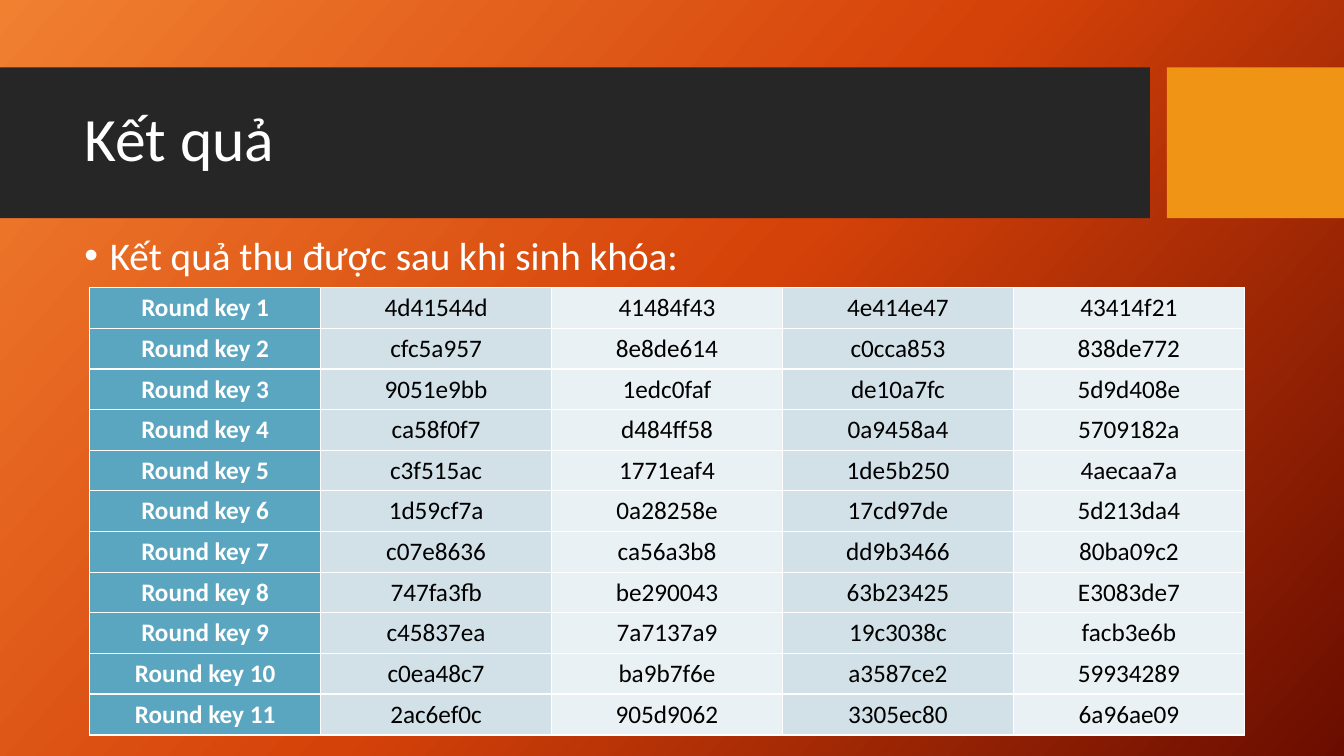
from lxml.etree import SubElement
from pptx import Presentation
from pptx.dml.color import RGBColor
from pptx.enum.shapes import MSO_SHAPE
from pptx.enum.text import MSO_ANCHOR, PP_ALIGN
from pptx.oxml import parse_xml
from pptx.oxml.ns import nsdecls, qn
from pptx.util import Cm, Pt

WHITE = RGBColor(0xFF, 0xFF, 0xFF)
BLACK = RGBColor(0x00, 0x00, 0x00)
CHARCOAL = RGBColor(0x26, 0x26, 0x26)
AMBER = RGBColor(0xF0, 0x94, 0x15)
TEAL = RGBColor(0x5A, 0xA6, 0xC0)
BLUE_GREY = RGBColor(0xD2, 0xE1, 0xE8)
PALE_GREY = RGBColor(0xEA, 0xF1, 0xF4)
BACKGROUND_STOPS = [
    (0, RGBColor(0xF1, 0x80, 0x31)),
    (50, RGBColor(0xD5, 0x42, 0x09)),
    (100, RGBColor(0x6A, 0x0D, 0x00)),
]
COLUMN_FILLS = [TEAL, BLUE_GREY, PALE_GREY, BLUE_GREY, PALE_GREY]
FONT = "Calibri"

ROUND_KEYS = [
    "4d41544d 41484f43 4e414e47 43414f21",
    "cfc5a957 8e8de614 c0cca853 838de772",
    "9051e9bb 1edc0faf de10a7fc 5d9d408e",
    "ca58f0f7 d484ff58 0a9458a4 5709182a",
    "c3f515ac 1771eaf4 1de5b250 4aecaa7a",
    "1d59cf7a 0a28258e 17cd97de 5d213da4",
    "c07e8636 ca56a3b8 dd9b3466 80ba09c2",
    "747fa3fb be290043 63b23425 E3083de7",
    "c45837ea 7a7137a9 19c3038c facb3e6b",
    "c0ea48c7 ba9b7f6e a3587ce2 59934289",
    "2ac6ef0c 905d9062 3305ec80 6a96ae09",
]
TABLE_LEFT, TABLE_TOP = 2.26, 7.25
COLUMN_WIDTH, ROW_HEIGHT, ROW_PITCH = 5.82, 1.03, 1.024


def add_text(slide, text, top, height, size, line_spacing):
    box = slide.shapes.add_textbox(Cm(1.88), Cm(top), Cm(26.7), Cm(height))
    box.text_frame.word_wrap = True
    paragraph = box.text_frame.paragraphs[0]
    paragraph.text = text
    paragraph.line_spacing = line_spacing
    paragraph.font.name = FONT
    paragraph.font.size = Pt(size)
    paragraph.font.color.rgb = WHITE
    return box.text_frame


def set_white_borders(cell):
    properties = cell._tc.get_or_add_tcPr()
    for index, side in enumerate(("a:lnL", "a:lnR", "a:lnT", "a:lnB")):
        border = parse_xml(
            f'<{side} {nsdecls("a")} w="12700"><a:solidFill>'
            f'<a:srgbClr val="{WHITE}"/></a:solidFill></{side}>'
        )
        properties.insert(index, border)


prs = Presentation()
prs.slide_width, prs.slide_height = Cm(33.87), Cm(19.05)
slide = prs.slides.add_slide(prs.slide_layouts[6])

# Diagonal background gradient
slide.background.fill.gradient()
gradient = slide.element.xpath(".//p:bgPr/a:gradFill")[0]
gradient.find(qn("a:lin")).set("ang", str(42 * 60000))
stops = gradient.find(qn("a:gsLst"))
stops.clear()
for percent, color in BACKGROUND_STOPS:
    stop = SubElement(stops, qn("a:gs"), pos=str(percent * 1000))
    SubElement(stop, qn("a:srgbClr"), val=str(color))

# Title band and accent block
for left, width, color in [(0, 28.98, CHARCOAL), (29.41, 4.46, AMBER)]:
    band = slide.shapes.add_shape(
        MSO_SHAPE.RECTANGLE, Cm(left), Cm(1.7), Cm(width), Cm(3.8)
    )
    band.shadow.inherit = False
    band.fill.solid()
    band.fill.fore_color.rgb = color
    band.line.fill.background()

title = add_text(slide, "Kết quả", 2.08, 3, 44, 0.9)
title.vertical_anchor = MSO_ANCHOR.MIDDLE

intro = add_text(slide, "Kết quả thu được sau khi sinh khóa:", 5.94, 1.3, 28, 0.8)
intro_paragraph = intro.paragraphs[0]
intro_paragraph.space_before = Pt(10)
bullet_properties = intro_paragraph._p.get_or_add_pPr()
bullet_properties.set("marL", str(Cm(0.64)))
bullet_properties.set("indent", str(-Cm(0.64)))
bullet_font = parse_xml(f'<a:buFont {nsdecls("a")} typeface="Arial"/>')
bullet = parse_xml(f'<a:buChar {nsdecls("a")} char="•"/>')
default_run = bullet_properties.find(qn("a:defRPr"))
default_run.addprevious(bullet_font)
default_run.addprevious(bullet)

# One single-row table per round key
for row, words in enumerate(ROUND_KEYS):
    values = [f"Round key {row + 1}", *words.split()]
    table = slide.shapes.add_table(
        1, len(values), Cm(TABLE_LEFT), Cm(TABLE_TOP + row * ROW_PITCH),
        Cm(COLUMN_WIDTH * len(values)), Cm(ROW_HEIGHT),
    ).table
    table.first_row = False
    table.first_col = True
    table.horz_banding = False
    for column, (value, fill) in enumerate(zip(values, COLUMN_FILLS)):
        cell = table.cell(0, column)
        cell.text = value
        cell.vertical_anchor = MSO_ANCHOR.MIDDLE
        cell.fill.solid()
        cell.fill.fore_color.rgb = fill
        set_white_borders(cell)
        paragraph = cell.text_frame.paragraphs[0]
        paragraph.alignment = PP_ALIGN.CENTER
        paragraph.font.name = FONT
        paragraph.font.size = Pt(18)
        paragraph.font.bold = column == 0
        paragraph.font.color.rgb = WHITE if column == 0 else BLACK

prs.save("out.pptx")
